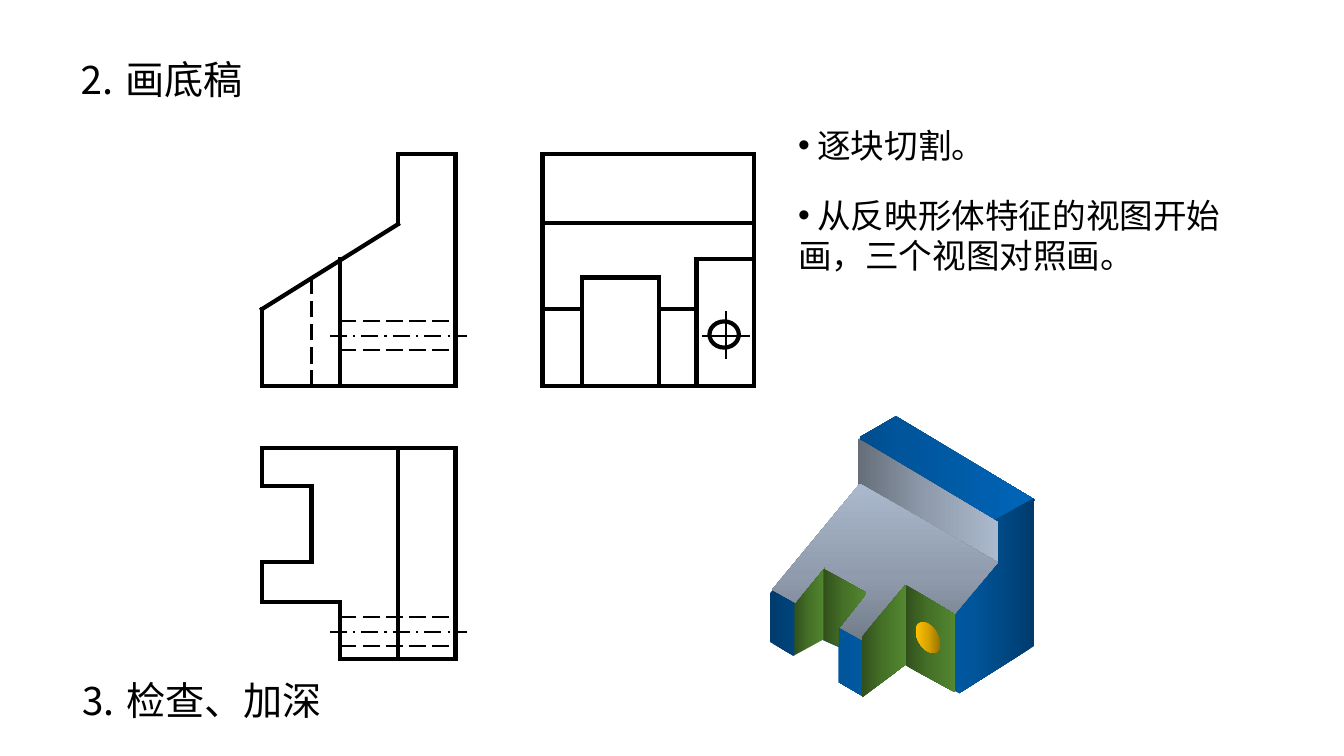
from dataclasses import dataclass
from itertools import pairwise
from math import cos, pi, radians

from lxml import etree
from pptx import Presentation
from pptx.dml.color import RGBColor
from pptx.enum.dml import MSO_LINE
from pptx.enum.shapes import MSO_CONNECTOR, MSO_SHAPE
from pptx.enum.text import MSO_ANCHOR, MSO_AUTO_SIZE, PP_ALIGN
from pptx.oxml.ns import qn
from pptx.util import Cm, Pt

STRAIGHT = MSO_CONNECTOR.STRAIGHT
OVAL = MSO_SHAPE.OVAL
HIDDEN = MSO_LINE.LONG_DASH
AXIS = MSO_LINE.LONG_DASH_DOT
TOP, LEFT = MSO_ANCHOR.TOP, PP_ALIGN.LEFT
NO_FIT = MSO_AUTO_SIZE.NONE


@dataclass(frozen=True)
class Theme:
    font: str = "Noto Sans CJK SC"
    heading_size: int = 28
    list_size: int = 24
    thick: float = 3
    thin: float = 1.5
    ink: str = "000000"
    paper: str = "FFFFFF"
    # Each gradient runs from dark to light
    blue: tuple = ("003C6D", "00559B", "0065B8")
    gray: tuple = ("656E79", "909CAD", "ABB9CD")
    green: tuple = ("31501C", "467228", "538730")
    gold: tuple = ("977200", "D7A200", "FFC000")


THEME = Theme()


# Text
def place(shape, left, top, width, height):
    shape.left, shape.top = Cm(left), Cm(top)
    shape.width, shape.height = Cm(width), Cm(height)


def prepare_frame(shape):
    frame = shape.text_frame
    frame.word_wrap = True
    frame.auto_size = NO_FIT
    frame.vertical_anchor = TOP
    return frame


def write(paragraph, text, size):
    paragraph.alignment = LEFT
    run = paragraph.add_run()
    run.text = text
    run.font.size = Pt(size)
    run.font.name = THEME.font
    run.font.color.rgb = RGBColor.from_string(THEME.ink)
    east_asian = etree.SubElement(run.font._element, qn("a:ea"))
    east_asian.set("typeface", THEME.font)


def write_heading(shape, text):
    write(prepare_frame(shape).paragraphs[0], text, THEME.heading_size)


def write_list(shape, items):
    frame = prepare_frame(shape)
    for index, item in enumerate(items):
        paragraph = frame.add_paragraph() if index else frame.paragraphs[0]
        paragraph.space_before = Pt(21 if index else 0)
        write(paragraph, item, THEME.list_size)
        properties = paragraph._p.get_or_add_pPr()
        properties.set("marL", "0")
        properties.set("indent", "0")
        etree.SubElement(properties, qn("a:buChar")).set("char", "•")


# Line drawing
def draw_path(group, *points, width=THEME.thick, dash=None):
    for start, end in pairwise(points):
        line = group.shapes.add_connector(
            STRAIGHT, *(Cm(value) for value in start + end))
        line.line.color.rgb = RGBColor.from_string(THEME.ink)
        line.line.width = Pt(width)
        if dash:
            line.line.dash_style = dash
        else:
            line.line._get_or_add_ln().set("cap", "sq")
        etree.SubElement(line._element.spPr, qn("a:effectLst"))


def draw_hole_lines(group, left, right, axis):
    draw_path(group, (left - 0.25, axis), (right + 0.3, axis),
              width=THEME.thin, dash=AXIS)
    for edge in (axis - 0.38, axis + 0.36):
        draw_path(group, (left, edge), (right, edge), width=THEME.thin, dash=HIDDEN)


def draw_views(slide):
    group = slide.shapes.add_group_shape()
    # Widths shared by front and top view, heights shared by front and side view
    left, slot, step, wall, right = 6.6, 7.85, 8.56, 10.03, 11.48
    top, shoulder, cut, notch, toe, base = 3.89, 5.65, 6.53, 6.99, 7.79, 9.73
    hole = 8.46

    # Front view
    draw_path(group, (left, base), (left, toe), (wall, shoulder), (wall, top),
              (right, top), (right, base), (left, base))
    draw_path(group, (step, cut), (step, base))
    draw_path(group, (slot, notch), (slot, base), width=THEME.thin, dash=HIDDEN)
    draw_hole_lines(group, step, right, hole)

    # Side view
    back, slot_start, slot_end, block, front = 13.67, 14.66, 16.6, 17.55, 19
    draw_path(group, (back, top), (front, top), (front, base), (back, base), (back, top))
    draw_path(group, (back, 5.61), (front, 5.61))
    draw_path(group, (back, toe), (slot_start, toe))
    draw_path(group, (slot_end, toe), (block, toe))
    draw_path(group, (slot_start, base), (slot_start, notch),
              (slot_end, notch), (slot_end, base))
    draw_path(group, (block, base), (block, cut), (front, cut))
    draw_path(group, (18.29, 7.87), (18.29, 9.02), width=THEME.thin)
    draw_path(group, (17.73, hole), (18.87, hole), width=THEME.thin)
    circle = group.shapes.add_shape(OVAL, Cm(17.88), Cm(8.1), Cm(0.74), Cm(0.66))
    circle.shadow.inherit = False
    circle.fill.background()
    circle.line.color.rgb = RGBColor.from_string(THEME.ink)
    circle.line.width = Pt(THEME.thick)

    # Top view
    rear, slot_rear, slot_front, ledge, face = 11.28, 12.24, 14.17, 15.16, 16.61
    draw_path(group, (left, rear), (right, rear), (right, face), (step, face),
              (step, ledge), (left, ledge), (left, slot_front), (slot, slot_front),
              (slot, slot_rear), (left, slot_rear), (left, rear))
    draw_path(group, (wall, face), (wall, rear))
    draw_hole_lines(group, step, right, 15.92)


# Shaded solid
def add_face(group, points, colors, angle=0):
    start, *others = [(Cm(x), Cm(y)) for x, y in points]
    builder = group.shapes.build_freeform(*start, scale=1.0)
    builder.add_line_segments(others, close=True)
    face = builder.convert_to_shape()
    face.shadow.inherit = False
    face.line.fill.background()
    face.fill.solid()
    face.fill.fore_color.rgb = RGBColor.from_string(THEME.paper)
    if colors is None:
        return
    gradient = etree.Element(qn("a:gradFill"), rotWithShape="1")
    stops = etree.SubElement(gradient, qn("a:gsLst"))
    for index, color in enumerate(colors):
        stop = etree.SubElement(stops, qn("a:gs"), pos=str(index * 50000))
        etree.SubElement(stop, qn("a:srgbClr"), val=color)
    etree.SubElement(gradient, qn("a:lin"), ang=str(angle * 60000), scaled="0")
    properties = face._element.spPr
    properties.replace(properties.find(qn("a:solidFill")), gradient)


def tilted_ellipse(center_x, center_y, half_width, half_height, lag, count=32):
    turns = [2 * pi * index / count for index in range(count)]
    return [(center_x + half_width * cos(turn),
             center_y + half_height * cos(turn - radians(lag))) for turn in turns]


def draw_solid(slide):
    group = slide.shapes.add_group_shape()
    blue, gray, green = THEME.blue, THEME.gray, THEME.green
    # Starting block; faces without colours cut pieces away
    add_face(group, [(22.58, 10.49), (19.41, 12.32), (22.94, 14.38), (26.09, 12.6)], blue)
    add_face(group, [(26.06, 12.55), (26.06, 16.28), (22.94, 18.24), (22.94, 14.33)],
             blue, 180)
    add_face(group, [(19.41, 12.29), (19.41, 16.18), (22.94, 18.24), (22.94, 14.38)], blue)
    # Sloped cut
    add_face(group, [(21.67, 10.97), (21.62, 12.27), (19.35, 15.01), (18.92, 11.96),
                     (19.08, 11.38)], None)
    add_face(group, [(21.62, 11.05), (21.62, 12.22), (25.15, 14.22), (25.15, 13.16)], gray)
    add_face(group, [(21.67, 12.19), (25.15, 14.17), (22.94, 16.81), (19.46, 14.86)],
             gray, 270)
    # Corner cut with its hole
    add_face(group, [(22.73, 16.71), (24.56, 17.68), (22.63, 18.54), (21.51, 17.78)], None)
    add_face(group, [(22.81, 14.73), (24.08, 15.49), (24.08, 17.45), (22.81, 16.76)], green)
    add_face(group, [(21.72, 16.05), (21.72, 17.58), (22.83, 16.74), (22.83, 14.73)], green)
    add_face(group, tilted_ellipse(23.39, 16.07, 0.31, 0.39, 65), THEME.gold, 180)
    # Slot
    add_face(group, [(20.02, 15.24), (20.8, 14.3), (20.8, 16.1), (20.02, 16.56)], green)
    add_face(group, [(20.73, 16.13), (19.76, 16.66), (21.13, 17.32), (21.13, 16.31)], None)
    add_face(group, [(20.75, 14.33), (21.84, 14.94), (21.13, 15.85), (21.13, 16.28),
                     (20.75, 16.13)], green)


def main():
    presentation = Presentation()
    presentation.slide_width, presentation.slide_height = Cm(33.87), Cm(19.05)
    slide = presentation.slides.add_slide(presentation.slide_layouts[1])
    title, body = slide.placeholders
    place(title, 1.7, 1.27, 6.6, 1.45)
    write_heading(title, "⒉ 画底稿")
    place(body, 19.86, 3.02, 11.3, 4.09)
    write_list(body, [" 逐块切割。", " 从反映形体特征的视图开始画，三个视图对照画。"])
    draw_views(slide)
    draw_solid(slide)
    next_step = slide.shapes.add_textbox(Cm(1.73), Cm(16.92), Cm(9.04), Cm(1.45))
    write_heading(next_step, "⒊ 检查、加深")
    presentation.save("out.pptx")


if __name__ == "__main__":
    main()
